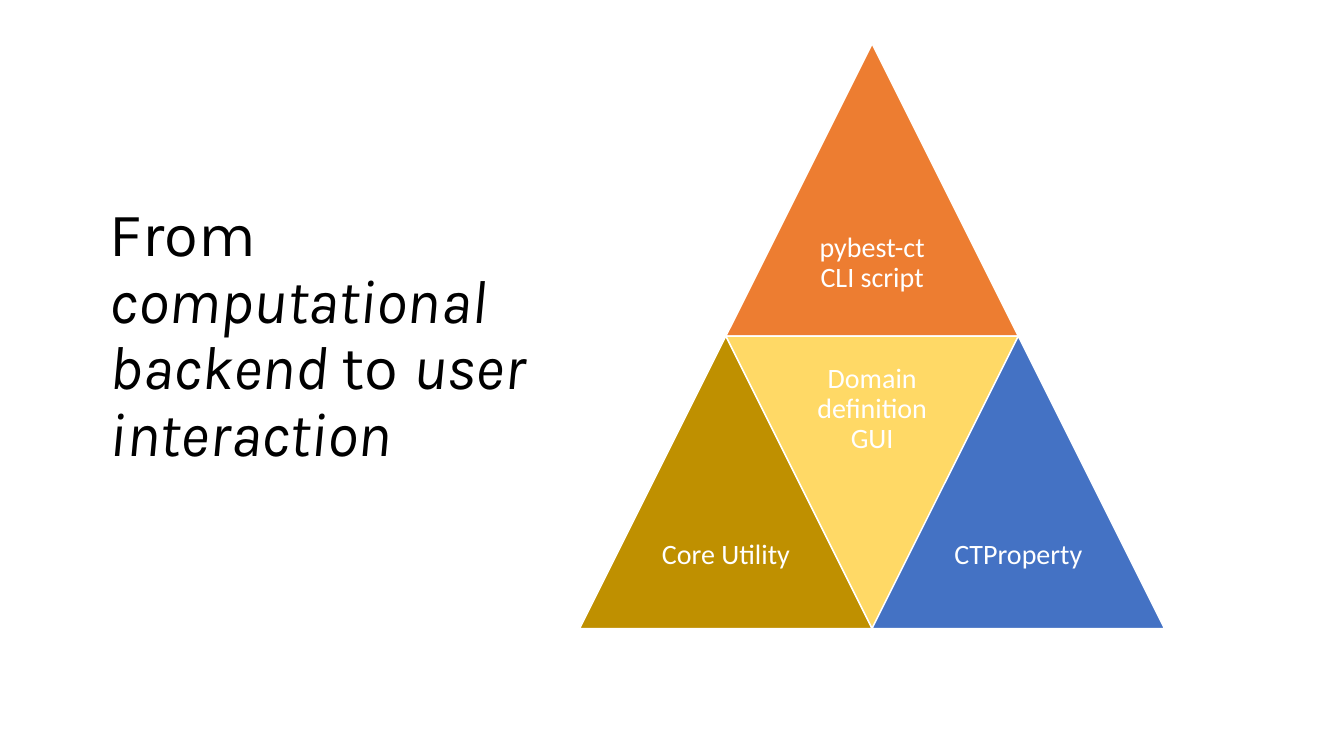
from pptx import Presentation
from pptx.dml.color import RGBColor
from pptx.enum.shapes import MSO_SHAPE
from pptx.enum.text import MSO_ANCHOR, MSO_AUTO_SIZE, PP_ALIGN
from pptx.util import Inches, Pt

TRIANGLE = MSO_SHAPE.ISOSCELES_TRIANGLE
MIDDLE = MSO_ANCHOR.MIDDLE
NO_AUTOFIT = MSO_AUTO_SIZE.NONE
LEFT, CENTER = PP_ALIGN.LEFT, PP_ALIGN.CENTER

BLACK = RGBColor(0x00, 0x00, 0x00)
WHITE = RGBColor(0xFF, 0xFF, 0xFF)
ORANGE = RGBColor(0xED, 0x7D, 0x31)
OCHRE = RGBColor(0xBF, 0x90, 0x00)
YELLOW = RGBColor(0xFF, 0xD9, 0x66)
BLUE = RGBColor(0x44, 0x72, 0xC4)

SIDE = 2.9
PYRAMID_LEFT, PYRAMID_TOP = 5.75, 0.435


def add_run(p, text, *, font, size, color, italic=False):
    r = p.add_run()
    r.text = text
    r.font.name = font
    r.font.size = Pt(size)
    r.font.color.rgb = color
    r.font.italic = italic


class SlideBuilder:
    title_style = {"font": "Karla", "size": 44, "color": BLACK}
    label_style = {"font": "Calibri", "size": 20, "color": WHITE}

    def __init__(self, slide):
        self.slide = slide

    def paragraph(self, sp, align):
        """Set up the text frame of a shape and return its first paragraph."""
        tf = sp.text_frame
        tf.word_wrap = True
        tf.auto_size = NO_AUTOFIT
        tf.vertical_anchor = MIDDLE
        p = tf.paragraphs[0]
        p.alignment = align
        p.line_spacing = 0.9
        return p

    def title(self, runs, left, top, width, height):
        sp = self.slide.shapes.title
        sp.left, sp.top = Inches(left), Inches(top)
        sp.width, sp.height = Inches(width), Inches(height)
        p = self.paragraph(sp, LEFT)
        for text, italic in runs:
            add_run(p, text, italic=italic, **self.title_style)

    def triangle(self, left, top, side, color, rotation=0):
        sp = self.slide.shapes.add_shape(
            TRIANGLE, Inches(left), Inches(top), Inches(side), Inches(side))
        sp.shadow.inherit = False
        sp.rotation = rotation
        sp.fill.solid()
        sp.fill.fore_color.rgb = color
        sp.line.color.rgb = WHITE
        sp.line.width = Pt(1)

    def label(self, text, left, top, side):
        sp = self.slide.shapes.add_textbox(
            Inches(left), Inches(top), Inches(side), Inches(side))
        tf = sp.text_frame
        tf.margin_left = tf.margin_right = Inches(0.08)
        tf.margin_top = tf.margin_bottom = Inches(0.08)
        add_run(self.paragraph(sp, CENTER), text, **self.label_style)

    def pyramid_part(self, text, color, column, row, inverted=False):
        """Draw a triangle with its label; columns advance by half a side."""
        left = PYRAMID_LEFT + column * SIDE / 2
        top = PYRAMID_TOP + row * SIDE
        self.triangle(left, top, SIDE, color, 180 if inverted else 0)
        label_top = top if inverted else top + SIDE / 2
        self.label(text, left + SIDE / 4, label_top, SIDE / 2)


def main():
    prs = Presentation()
    prs.slide_width, prs.slide_height = Inches(13.33), Inches(7.5)
    title_only = prs.slide_layouts[5]
    s = SlideBuilder(prs.slides.add_slide(title_only))

    s.title([("From ", False), ("computational backend ", True),
             ("to ", False), ("user interaction", True)],
            0.99, 1.87, 5.41, 2.94)

    s.pyramid_part("pybest-ct CLI script", ORANGE, 1, 0)
    s.pyramid_part("Core Utility", OCHRE, 0, 1)
    s.pyramid_part("Domain definition GUI", YELLOW, 1, 1, inverted=True)
    s.pyramid_part("CTProperty", BLUE, 2, 1)

    prs.save("out.pptx")


if __name__ == "__main__":
    main()
